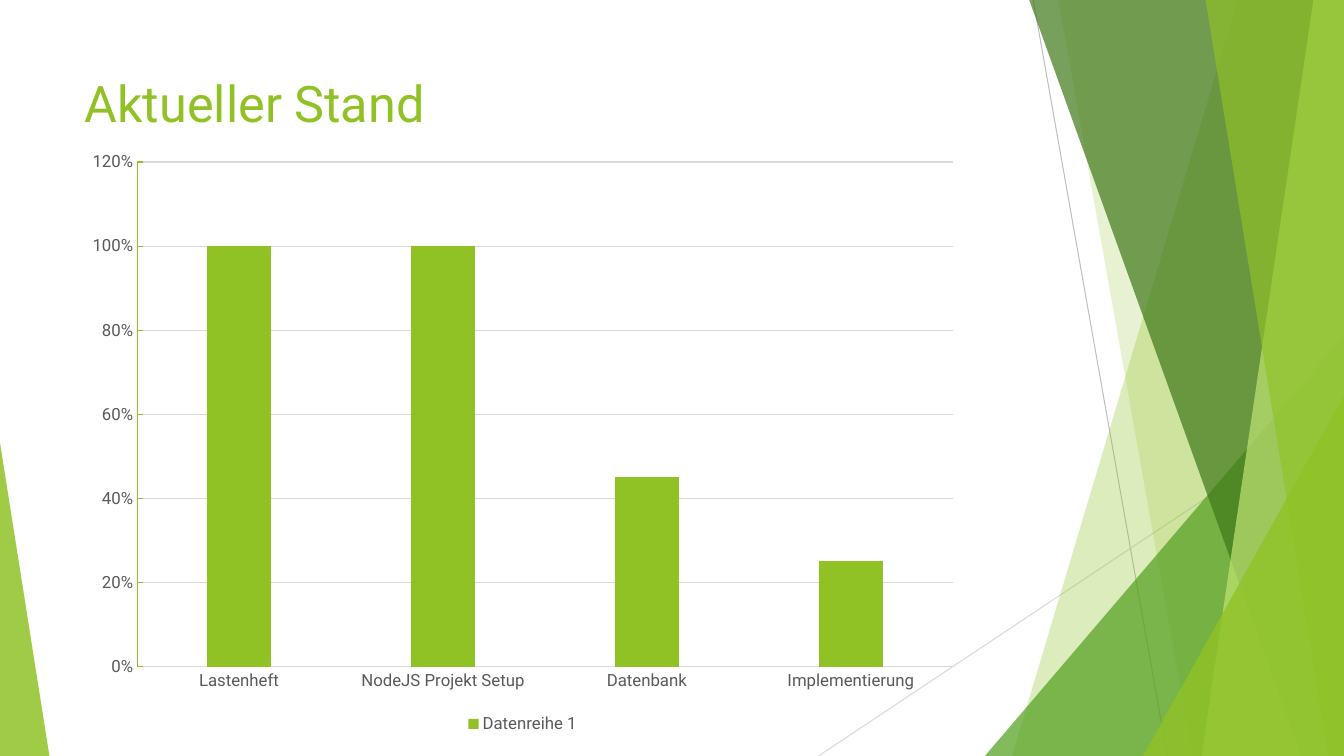
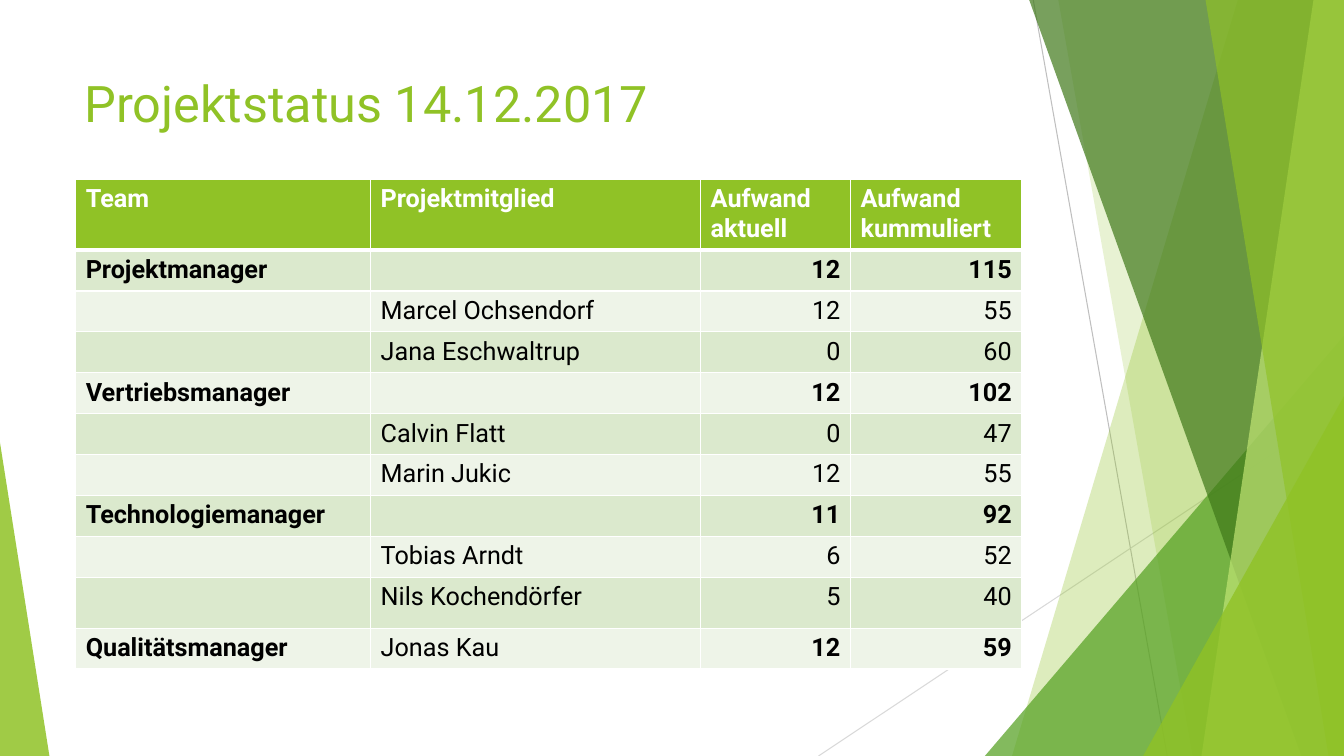
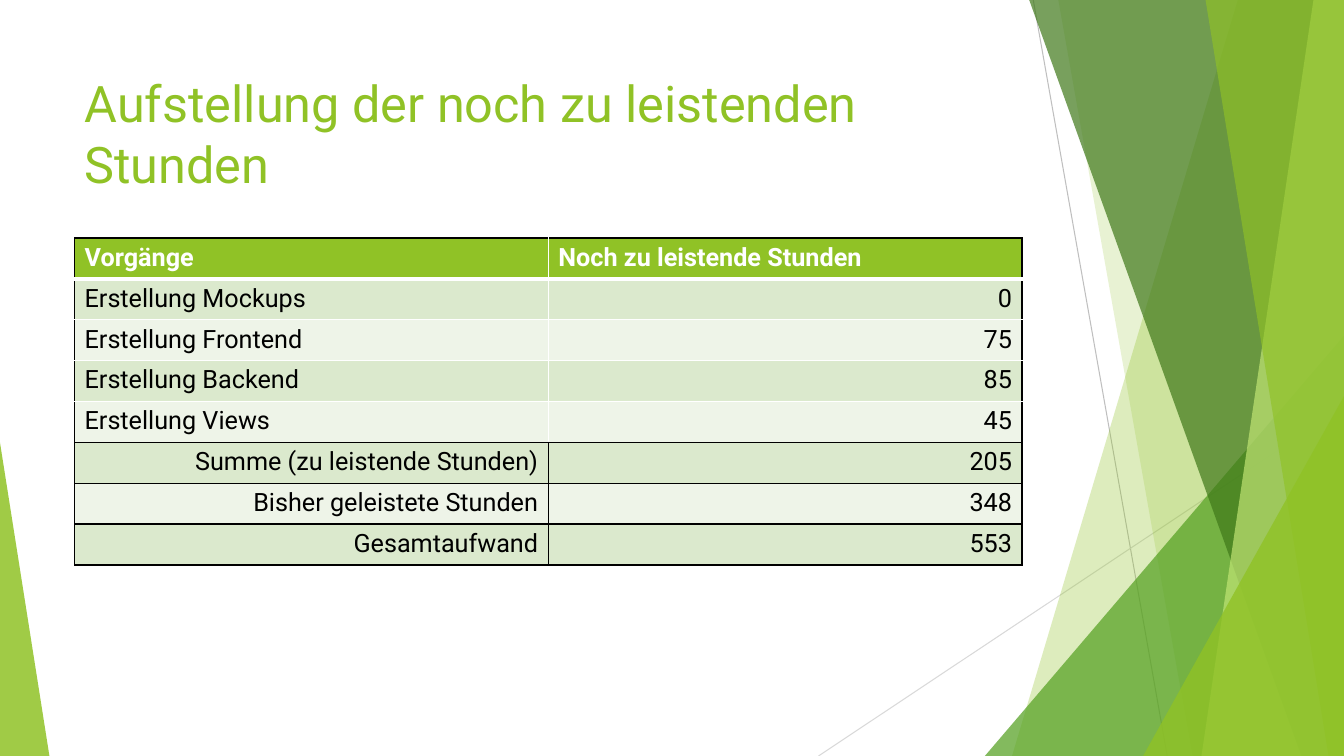
import lxml.etree
import pptx
import pptx.chart.data
import pptx.dml.color
import pptx.enum.chart
import pptx.enum.shapes
import pptx.enum.text
import pptx.oxml.ns
import pptx.util

Pt = pptx.util.Pt
qn = pptx.oxml.ns.qn
GREEN, WHITE, BLACK = "90C226", "FFFFFF", "000000"
GRAY, GRID = "595959", "D9D9D9"
BANDS = ("DBE9CD", "EEF4E8")


def rgb(code):
    return pptx.dml.color.RGBColor.from_string(code)


class Deck:
    """Green facet style and the current slide, with lengths in percent of the slide."""

    font = "Roboto"
    left, title_top, title_width, title_height = 5.55, 8.93, 70.5, 19.2
    row_height = 5.41

    def __init__(self):
        self.prs = pptx.Presentation()
        self.prs.slide_width = pptx.util.Inches(13.333)
        self.prs.slide_height = pptx.util.Inches(7.5)

    def x(self, share):
        return round(self.prs.slide_width * share / 100)

    def y(self, share):
        return round(self.prs.slide_height * share / 100)

    def box(self, left, top, width, height):
        return self.x(left), self.y(top), self.x(width), self.y(height)

    def style(self, font, size, color, bold=False):
        font.name, font.size, font.bold = self.font, Pt(size), bold
        font.color.rgb = rgb(color)

    def paint(self, sp, color, alpha):
        sp.shadow.inherit = False
        sp.line.fill.background()
        sp.fill.solid()
        sp.fill.fore_color.rgb = rgb(color)
        clr = sp._element.spPr.find(qn("a:solidFill")).find(qn("a:srgbClr"))
        lxml.etree.SubElement(clr, qn("a:alpha"), val=str(alpha * 1000))

    def line(self, x1, y1, x2, y2, color):
        ln = self.shapes.add_connector(
            pptx.enum.shapes.MSO_CONNECTOR.STRAIGHT,
            self.x(x1), self.y(y1), self.x(x2), self.y(y2))
        ln.line.color.rgb = rgb(color)
        ln.line.width = Pt(0.75)
        lxml.etree.SubElement(ln._element.spPr, qn("a:effectLst"))

    def facet(self, top_x, bottom_x, color, alpha):
        fb = self.shapes.build_freeform(self.x(top_x), 0)
        fb.add_line_segments([(self.x(100), 0), (self.x(100), self.y(100)),
                              (self.x(bottom_x), self.y(100))])
        self.paint(fb.convert_to_shape(), color, alpha)

    def corner(self, left, right, top, peak, color, alpha):
        sp = self.shapes.add_shape(
            pptx.enum.shapes.MSO_SHAPE.ISOSCELES_TRIANGLE,
            *self.box(left, top, right - left, 100 - top))
        sp.adjustments[0] = peak
        self.paint(sp, color, alpha)

    def slide(self, title):
        self.shapes = self.prs.slides.add_slide(self.prs.slide_layouts[6]).shapes
        self.line(76.88, 0, 86.85, 100, "BFBFBF")
        self.line(100, 53.73, 60.9, 100, GRID)
        self.facet(92.1, 75.3, GREEN, 30)
        self.facet(78.75, 88.73, GREEN, 20)
        self.corner(73.28, 100, 44.4, 1, "54A021", 72)
        self.facet(76.58, 96.83, "3F7819", 70)
        self.facet(97.73, 89.4, "C0E474", 70)
        self.facet(89.7, 98.85, GREEN, 65)
        self.corner(85.05, 100, 52.4, 1, GREEN, 80)
        self.corner(0, 3.68, 58.53, 0, GREEN, 85)
        self.title(title)

    def title(self, text):
        tf = self.shapes.add_textbox(*self.box(
            self.left, self.title_top, self.title_width, self.title_height)).text_frame
        tf.word_wrap = True
        tf.text = text
        self.style(tf.paragraphs[0].runs[0].font, 36, GREEN)

    def chart(self, top, width, height, name, values):
        data = pptx.chart.data.CategoryChartData(number_format="0%")
        data.categories = list(values)
        data.add_series(name, list(values.values()))
        chart = self.shapes.add_chart(
            pptx.enum.chart.XL_CHART_TYPE.COLUMN_CLUSTERED,
            *self.box(self.left, top, width, height), data).chart
        self.style(chart.font, 10, BLACK)
        chart.has_title = False
        chart.has_legend = True
        chart.legend.position = pptx.enum.chart.XL_LEGEND_POSITION.BOTTOM
        chart.legend.include_in_layout = False
        self.style(chart.legend.font, 12, GRAY)

        plot = chart.plots[0]
        plot.gap_width, plot.overlap, plot.vary_by_categories = 219, -27, False
        fill = plot.series[0].format.fill
        fill.solid()
        fill.fore_color.rgb = rgb(GREEN)

        marks = pptx.enum.chart.XL_TICK_MARK
        for axis, mark, color in ((chart.category_axis, marks.NONE, GRID),
                                  (chart.value_axis, marks.INSIDE, GREEN)):
            axis.major_tick_mark, axis.minor_tick_mark = mark, marks.NONE
            axis.format.line.color.rgb = rgb(color)
            axis.format.line.width = Pt(0.75)
            self.style(axis.tick_labels.font, 12, GRAY)
        axis = chart.value_axis
        axis.minimum_scale, axis.maximum_scale, axis.major_unit = 0, 1.2, 0.2
        axis.tick_labels.number_format = "0%"
        axis.tick_labels.number_format_is_linked = False
        axis.has_major_gridlines = True
        axis.major_gridlines.format.line.color.rgb = rgb(GRID)
        axis.major_gridlines.format.line.width = Pt(0.75)

    def border(self, cell, side, color, width):
        ln = lxml.etree.SubElement(cell._tc.get_or_add_tcPr(), qn("a:ln" + side),
                                   w=str(Pt(width)))
        fill = lxml.etree.SubElement(ln, qn("a:solidFill"))
        lxml.etree.SubElement(fill, qn("a:srgbClr"), val=color)

    def cell(self, cell, text, fill, color, bold, right):
        cell.fill.solid()
        cell.fill.fore_color.rgb = rgb(fill)
        p = cell.text_frame.paragraphs[0]
        p.text = text
        if right:
            p.alignment = pptx.enum.text.PP_ALIGN.RIGHT
        for r in p.runs:
            self.style(r.font, 18, color, bold)

    def table(self, left, top, widths, rows, frame=WHITE, totals=0, groups=False, tall=()):
        count, last = len(rows), len(widths) - 1
        table = self.shapes.add_table(count, len(widths), *self.box(
            left, top, sum(widths), count * self.row_height)).table
        table.horz_banding = False
        for column, width in zip(table.columns, widths):
            column.width = self.x(width)
        for i, row in enumerate(rows):
            table.rows[i].height = self.y(6.75 if i in tall else self.row_height)
            head, total = i == 0, i >= count - totals
            for j, text in enumerate(row):
                cell = table.cell(i, j)
                edges = (("L", j == 0 or total, 1),
                         ("R", j == last or total, 1),
                         ("T", head or total, 3 if i == 1 else 1),
                         ("B", i >= count - totals - 1, 3 if head else 1))
                for side, framed, width in edges:
                    self.border(cell, side, frame if framed else WHITE, width)
                if head:
                    self.cell(cell, text, GREEN, WHITE, True, False)
                else:
                    bold = groups and row[0] != "" and j != 1
                    self.cell(cell, text, BANDS[(i - 1) % 2], BLACK, bold,
                              total or text.isdigit())


def main():
    deck = Deck()

    deck.slide("Aktueller Stand")
    deck.chart(18.53, 66.68, 79.07, "Datenreihe 1", {
        "Lastenheft": 1, "NodeJS Projekt Setup": 1,
        "Datenbank": 0.45, "Implementierung": 0.25})

    deck.slide("Projektstatus 14.12.2017")
    deck.table(5.63, 23.75, (21.95, 24.55, 11.15, 12.75), [
        ("Team", "Projektmitglied", "Aufwand aktuell", "Aufwand kummuliert"),
        ("Projektmanager", "", "12", "115"),
        ("", "Marcel Ochsendorf", "12", "55"),
        ("", "Jana Eschwaltrup", "0", "60"),
        ("Vertriebsmanager", "", "12", "102"),
        ("", "Calvin Flatt", "0", "47"),
        ("", "Marin Jukic", "12", "55"),
        ("Technologiemanager", "", "11", "92"),
        ("", "Tobias Arndt", "6", "52"),
        ("", "Nils Kochendörfer", "5", "40"),
        ("Qualitätsmanager", "Jonas Kau", "12", "59"),
    ], groups=True, tall=(9,))

    deck.slide("Aufstellung der noch zu leistenden Stunden")
    deck.table(deck.left, 31.47, (35.25, 35.25), [
        ("Vorgänge", "Noch zu leistende Stunden"),
        ("Erstellung Mockups", "0"),
        ("Erstellung Frontend", "75"),
        ("Erstellung Backend", "85"),
        ("Erstellung Views", "45"),
        ("Summe (zu leistende Stunden)", "205"),
        ("Bisher geleistete Stunden", "348"),
        ("Gesamtaufwand", "553"),
    ], frame=BLACK, totals=3)

    deck.prs.save("out.pptx")


if __name__ == "__main__":
    main()
